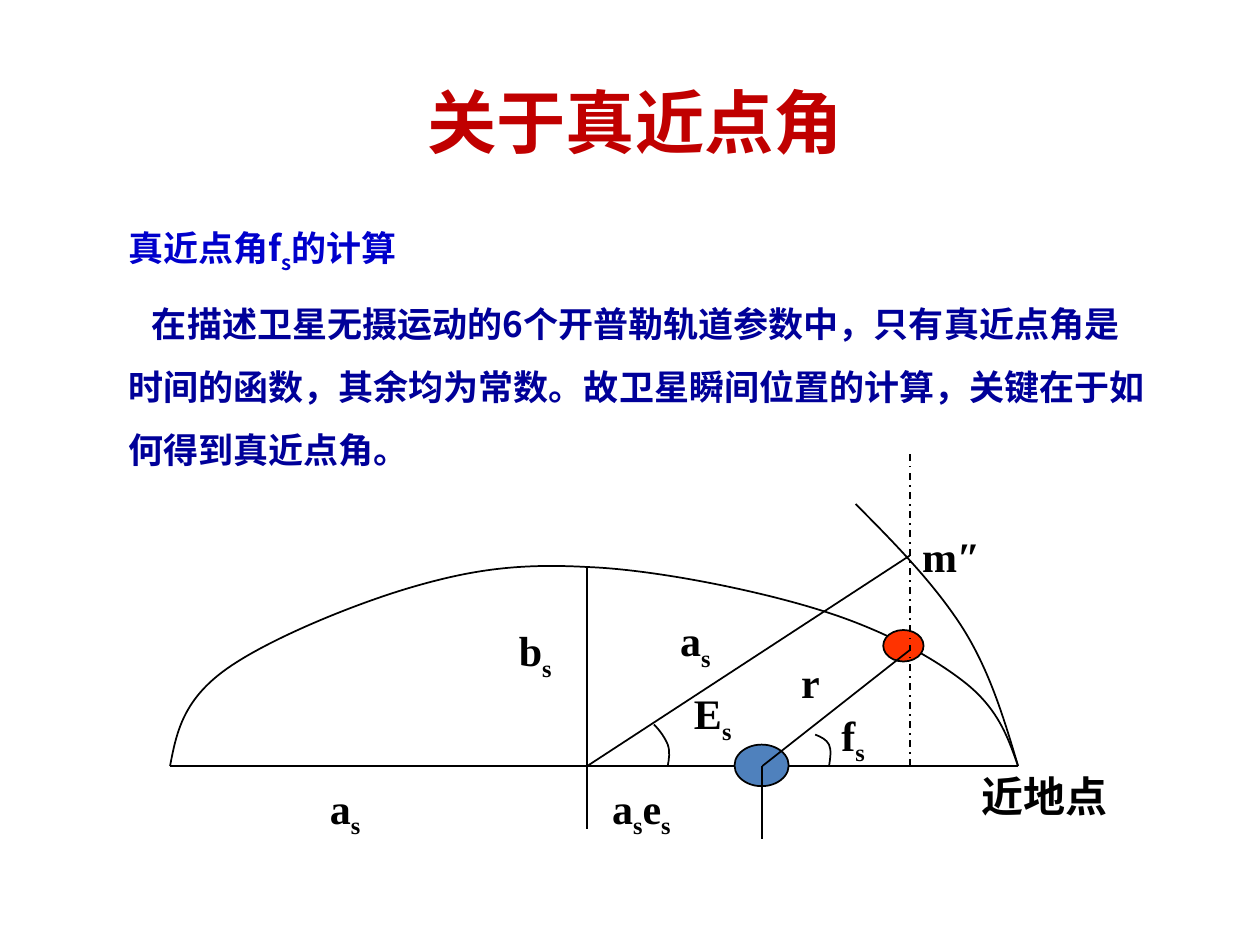
from lxml.etree import SubElement
from pptx import Presentation
from pptx.dml.color import RGBColor
from pptx.enum.dml import MSO_LINE
from pptx.enum.shapes import MSO_CONNECTOR, MSO_SHAPE
from pptx.enum.text import MSO_ANCHOR, MSO_AUTO_SIZE, PP_ALIGN
from pptx.oxml.ns import qn
from pptx.util import Inches, Pt

RED = RGBColor(0xC0, 0x00, 0x00)
BLUE = RGBColor(0x00, 0x00, 0xCC)
NAVY = RGBColor(0x00, 0x00, 0x99)
BLACK = RGBColor(0x00, 0x00, 0x00)
EARTH = RGBColor(0x4F, 0x81, 0xBD)
SATELLITE = RGBColor(0xFF, 0x33, 0x00)
HAN_FONT = "Noto Sans CJK SC"
LATIN_FONT = "Times New Roman"

WIDTH, HEIGHT = Inches(10), Inches(7.5)
COLUMNS, ROWS = 100, 75

CENTRE = (46.6, 60.8)
FOCUS = (60.5, 60.8)
PERIGEE = (80.8, 60.8)
APOGEE = (13.5, 60.8)
TOP = (46.6, 45)
PROJECTION = (72.2, 44.1)
ORBITER = (72.2, 51.6)

ORBIT = [APOGEE, (14, 58.2), (14.5, 55.7), (17.7, 53.3), (20.9, 50.9), (27.9, 48),
         (32.7, 46.6), (37.5, 45.2), (41.2, 44.7), TOP, (51.9, 45.2), (59.8, 46.8),
         (64.7, 48.3), (69.7, 49.8), (73.8, 52), (76.5, 54.1), (79.2, 56.2), (80, 58.5),
         PERIGEE]
CIRCLE = [PERIGEE, (79.7, 57.1), (78.6, 53.4), (76.5, 50), (74.3, 46.5), (71.1, 43.2),
          (67.9, 40)]
ECCENTRIC_ARC = [(53, 60.8), (53.1, 60.2), (53.2, 59.7), (53, 59.1), (52.8, 58.6),
                 (52.4, 58), (51.9, 57.5)]
TRUE_ARC = [(65.8, 60.8), (65.9, 60.2), (66, 59.5), (65.8, 59.1), (65.6, 58.7),
            (65.2, 58.5), (64.7, 58.3)]

ORBIT_LABELS = [
    ("a_s", 25.2, 61.6, 6.4), ("b_s", 40.2, 49.1, 6.4), ("a_s", 53, 48.3, 6.4),
    ("r", 62.6, 51.6, 6.4), ("m″", 72.2, 41.6, 9.6),
]
ANGLE_LABELS = [("f_s", 65.8, 55.8, 6.4), ("E_s", 54.1, 54.1, 6.4)]
AXIS_LABELS = [("a_se_s", 47.6, 61.6, 9.6), ("近地点", 76.9, 60.7, 12.5)]


def col(count):
    return round(WIDTH * count / COLUMNS)


def row(count):
    return round(HEIGHT * count / ROWS)


def place(point):
    return col(point[0]), row(point[1])


def apply(target, values):
    for name, value in values.items():
        setattr(target, name, value)


def add_box(shapes, left, top, width, height, **frame):
    box = shapes.add_textbox(col(left), row(top), col(width), row(height))
    apply(box.text_frame, {"word_wrap": True, **frame})
    return box.text_frame


def write(para, text, size, font, color):
    for index, piece in enumerate(text.split("_")):
        parts = [(piece[:1], True), (piece[1:], False)] if index else [(piece, False)]
        for words, lowered in parts:
            if words:
                span = para.add_run()
                span.text = words
                apply(span.font, {"size": Pt(size), "name": font, "bold": True})
                span.font.color.rgb = color
                props = span.font._element
                SubElement(props, qn("a:ea")).set("typeface", HAN_FONT)
                if lowered:
                    props.set("baseline", "-25000")


def add_title(page):
    frame = add_box(page.shapes, 7.8, 5.5, 85.2, 8.2, vertical_anchor=MSO_ANCHOR.MIDDLE)
    para = frame.paragraphs[0]
    para.alignment = PP_ALIGN.CENTER
    write(para, "关于真近点角", 39.6, HAN_FONT, RED)


def add_body(page):
    frame = add_box(page.shapes, 7.8, 15.63, 84.4, 15.6)
    first, second = frame.paragraphs[0], frame.add_paragraph()
    for para, indent in ((first, 0), (second, 1.88)):
        apply(para, {"line_spacing": 1.5, "space_before": Pt(4)})
        props = para._p.get_or_add_pPr()
        props.set("marL", str(col(1.4)))
        props.set("indent", str(col(indent)))
    write(first, "真近点角f_s的计算", 20, HAN_FONT, BLUE)
    write(second, "在描述卫星无摄运动的6个开普勒轨道参数中，只有真近点角是时间的函数，"
          "其余均为常数。故卫星瞬间位置的计算，关键在于如何得到真近点角。", 20, HAN_FONT, NAVY)


def draw_outline(shape):
    shape.line.color.rgb = BLACK
    shape.line.width = Pt(1)


def add_line(shapes, start, end, dash=None):
    line = shapes.add_connector(MSO_CONNECTOR.STRAIGHT, *place(start), *place(end))
    draw_outline(line)
    if dash:
        line.line.dash_style = dash
    SubElement(line._element.spPr, qn("a:effectLst"))


def add_curve(shapes, points):
    builder = shapes.build_freeform(*place(points[0]))
    builder.add_line_segments([place(point) for point in points[1:]], close=False)
    curve = builder.convert_to_shape()
    steps = list(curve._element.iter(qn("a:lnTo")))
    outline = steps[0].getparent()
    for start in range(0, len(steps), 3):
        bend = SubElement(outline, qn("a:cubicBezTo"))
        for step in steps[start:start + 3]:
            bend.append(step[0])
            outline.remove(step)
    curve.shadow.inherit = False
    curve.fill.background()
    draw_outline(curve)


def add_ball(shapes, left, top, width, height, color):
    ball = shapes.add_shape(MSO_SHAPE.OVAL, col(left), row(top), col(width), row(height))
    ball.shadow.inherit = False
    ball.fill.solid()
    ball.fill.fore_color.rgb = color
    draw_outline(ball)


def add_labels(shapes, labels):
    for text, left, top, width in labels:
        frame = add_box(shapes, left, top, width, 4,
                        auto_size=MSO_AUTO_SIZE.SHAPE_TO_FIT_TEXT)
        write(frame.paragraphs[0], text, 24, LATIN_FONT, BLACK)


def add_diagram(page):
    shapes = page.shapes.add_group_shape().shapes
    add_line(shapes, APOGEE, PERIGEE)
    add_curve(shapes, ORBIT)
    add_line(shapes, TOP, CENTRE)
    add_curve(shapes, CIRCLE)
    add_ball(shapes, 58.3, 59.1, 4.3, 3.3, EARTH)
    add_ball(shapes, 70.1, 50, 3.2, 2.5, SATELLITE)
    add_line(shapes, (72.2, 60.8), (72.2, 35.8), MSO_LINE.DASH_DOT)
    add_line(shapes, CENTRE, PROJECTION)
    add_line(shapes, FOCUS, ORBITER)
    add_labels(shapes, ORBIT_LABELS)
    add_curve(shapes, ECCENTRIC_ARC)
    add_curve(shapes, TRUE_ARC)
    add_labels(shapes, ANGLE_LABELS)
    add_line(shapes, CENTRE, (46.6, 65.8))
    add_line(shapes, FOCUS, (60.5, 66.6))
    add_labels(shapes, AXIS_LABELS)


def main():
    deck = Presentation()
    apply(deck, {"slide_width": WIDTH, "slide_height": HEIGHT})
    page = deck.slides.add_slide(deck.slide_layouts[6])
    add_title(page)
    add_body(page)
    add_diagram(page)
    deck.save("out.pptx")


if __name__ == "__main__":
    main()
